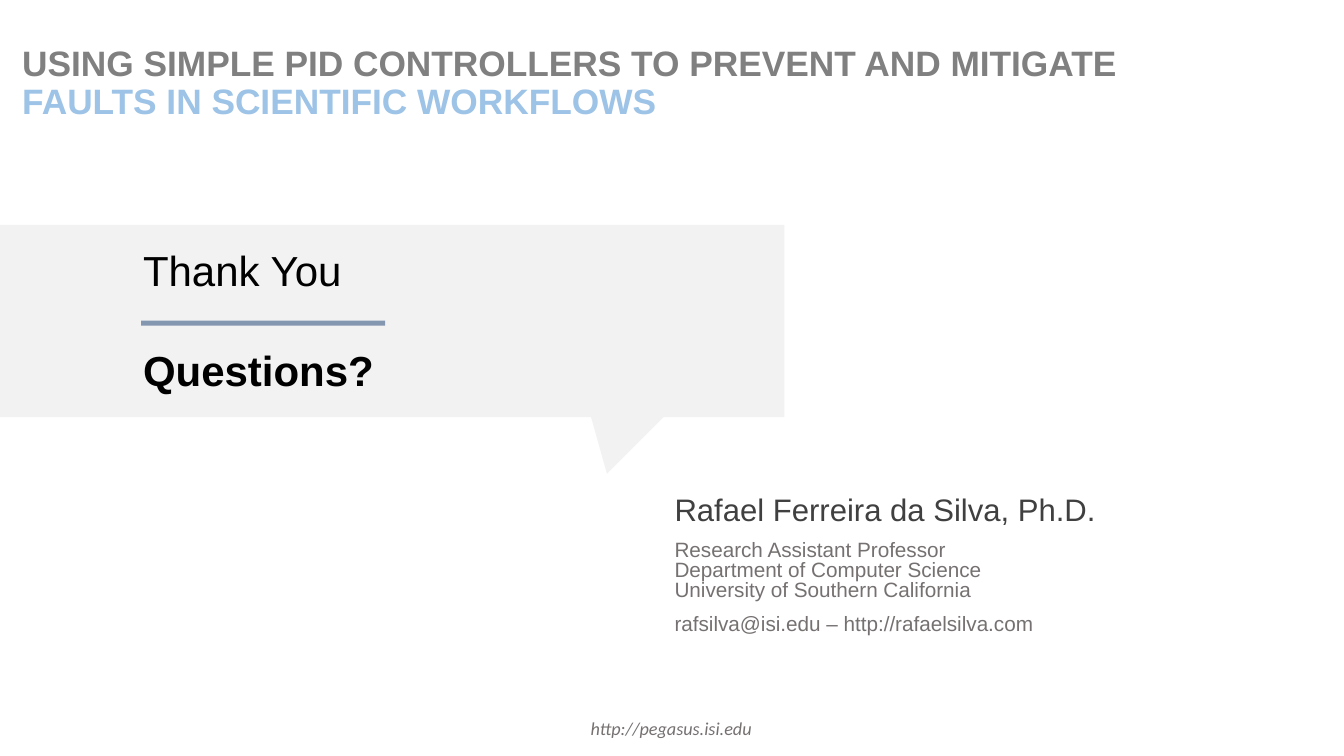
from dataclasses import dataclass

from pptx import Presentation
from pptx.dml.color import RGBColor
from pptx.enum.shapes import MSO_SHAPE
from pptx.enum.text import MSO_ANCHOR, MSO_AUTO_SIZE, PP_ALIGN
from pptx.util import Inches, Pt


@dataclass(frozen=True)
class Theme:
    font: str = "Arial"
    link_font: str = "Calibri"
    black: str = "000000"
    dark: str = "404040"
    gray: str = "767171"
    head: str = "808080"
    sky: str = "9DC3E6"
    slate: str = "8497B0"
    panel: str = "F2F2F2"
    title: float = 25.2
    thanks: float = 30
    name: float = 22.2
    detail: float = 14.8
    link: float = 13


class Deck:
    def __init__(self, theme):
        self.theme = theme
        self.file = Presentation()
        self.file.slide_width = Inches(13.33)
        self.file.slide_height = Inches(7.5)
        self.slide = self.file.slides.add_slide(self.file.slide_layouts[0])

    def block(self, kind, box, color):
        shape = self.slide.shapes.add_shape(kind, *map(Inches, box))
        shape.shadow.inherit = False
        shape.fill.solid()
        shape.fill.fore_color.rgb = RGBColor.from_string(color)
        shape.line.fill.background()
        return shape

    def holder(self, index, box):
        """Move a template placeholder and return its text frame."""
        shape = self.slide.placeholders[index]
        shape.left, shape.top, shape.width, shape.height = map(Inches, box)
        return self.frame(shape)

    def label(self, box, wrap=True):
        shape = self.slide.shapes.add_textbox(*map(Inches, box))
        return self.frame(shape, wrap)

    def frame(self, shape, wrap=True):
        frame = shape.text_frame
        frame.word_wrap = wrap
        frame.auto_size = MSO_AUTO_SIZE.NONE
        frame.vertical_anchor = MSO_ANCHOR.TOP
        return frame

    def para(self, frame, lines, size, spacing=1.0, before=0,
             font=None, bold=False, italic=False):
        """Write one paragraph from (text, color) lines, split by line breaks."""
        para = frame.paragraphs[0]
        if para.runs:
            para = frame.add_paragraph()
        para.alignment = PP_ALIGN.LEFT
        para.line_spacing = spacing
        para.space_before = Pt(before)
        for row, (text, color) in enumerate(lines):
            if row:
                para.add_line_break()
            run = para.add_run()
            run.text = text
            run.font.name = font or self.theme.font
            run.font.size = Pt(size)
            run.font.bold = bold
            run.font.italic = italic
            run.font.color.rgb = RGBColor.from_string(color)


def main():
    look = Theme()
    deck = Deck(look)

    deck.block(MSO_SHAPE.RECTANGLE, (0, 2.23, 7.78, 1.91), look.panel)
    tail = deck.block(MSO_SHAPE.ISOSCELES_TRIANGLE, (5.86, 4.13, 0.73, 0.57), look.panel)
    tail.adjustments[0] = 0.22
    tail._element.spPr.xfrm.set("flipV", "1")
    deck.block(MSO_SHAPE.RECTANGLE, (1.4, 3.18, 2.42, 0.05), look.slate)

    title = deck.holder(0, (0.12, 0.18, 12.22, 1.08))
    title.vertical_anchor = MSO_ANCHOR.BOTTOM
    deck.para(title, [
        ("USING SIMPLE PID CONTROLLERS TO PREVENT AND MITIGATE", look.head),
        ("FAULTS IN SCIENTIFIC WORKFLOWS", look.sky),
    ], look.title, 0.9, bold=True)

    thanks = deck.label((1.32, 2.43, 5.75, 1.81))
    deck.para(thanks, [("Thank You", look.black)], look.thanks, 0.9)
    deck.para(thanks, [("Questions?", look.black)], look.thanks, 0.9, 39, bold=True)

    author = deck.holder(1, (6.59, 4.89, 5.75, 1.53))
    deck.para(author, [("Rafael Ferreira da Silva, Ph.D.", look.dark)], look.name, 0.8)
    post = ("Research Assistant Professor", "Department of Computer Science",
            "University of Southern California")
    deck.para(author, [(line, look.gray) for line in post], look.detail, 0.8, 10)
    deck.para(author, [("rafsilva@isi.edu – http://rafaelsilva.com", look.gray)],
              look.detail, 0.8, 10)

    site = deck.label((5.76, 7.07, 1.82, 0.32), wrap=False)
    deck.para(site, [("http://pegasus.isi.edu", look.gray)], look.link,
              font=look.link_font, italic=True)

    deck.file.save("out.pptx")


if __name__ == "__main__":
    main()
